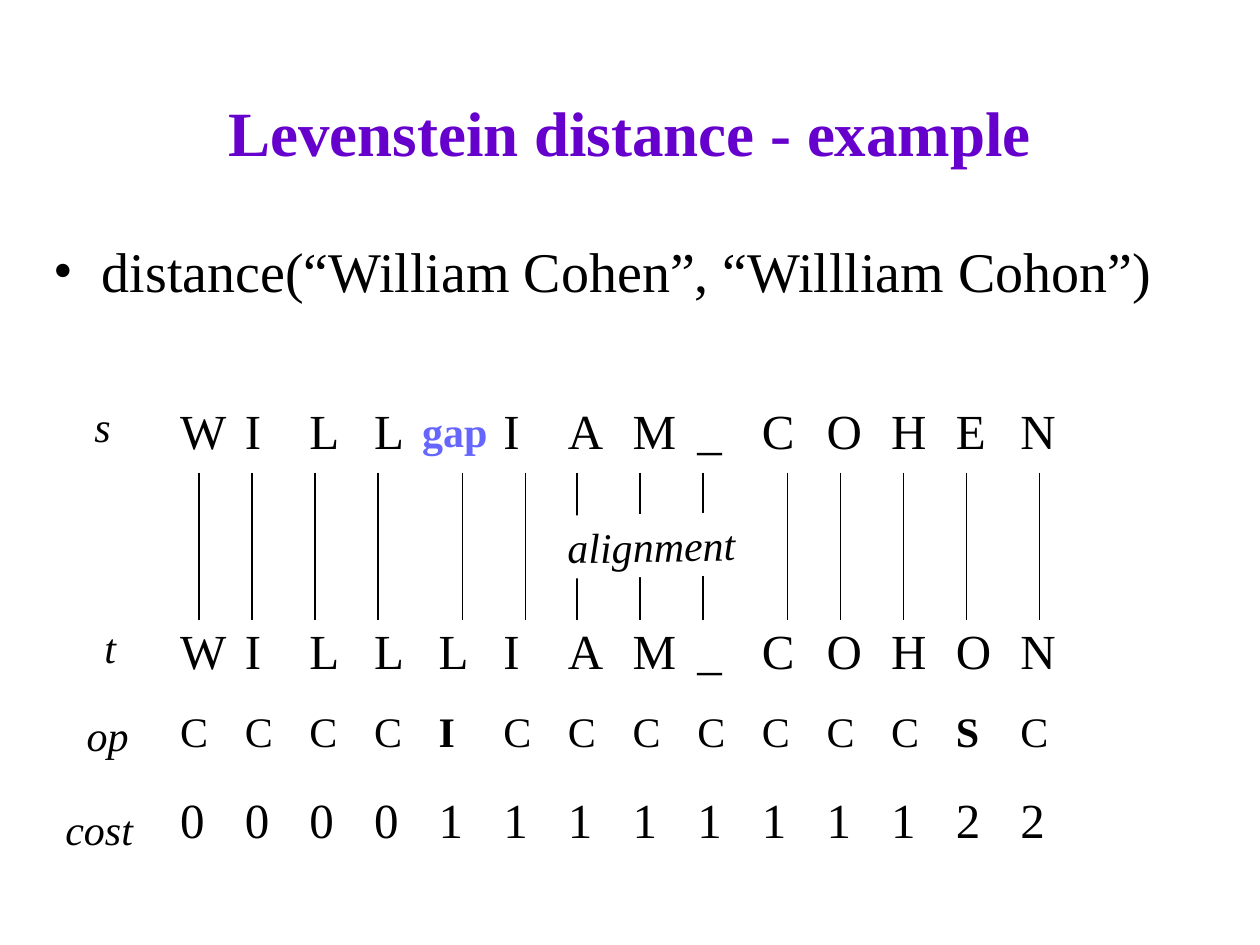
from lxml import etree
from pptx import Presentation
from pptx.dml.color import RGBColor
from pptx.enum.shapes import MSO_CONNECTOR, MSO_SHAPE
from pptx.enum.text import MSO_ANCHOR, MSO_AUTO_SIZE, PP_ALIGN
from pptx.oxml.ns import qn
from pptx.util import Inches, Pt

STRAIGHT = MSO_CONNECTOR.STRAIGHT
RECTANGLE = MSO_SHAPE.RECTANGLE
MIDDLE = MSO_ANCHOR.MIDDLE
GROW = MSO_AUTO_SIZE.SHAPE_TO_FIT_TEXT
LEFT, CENTER, RIGHT = PP_ALIGN.LEFT, PP_ALIGN.CENTER, PP_ALIGN.RIGHT
FONT = "Times New Roman"
COLORS = {"title": "6600CC", "text": "000000", "gap": "6666FF", "paper": "FFFFFF"}

ROWS = [
    ("WILL IAM_COHEN", 28, 0.58),
    (" " * 14, 28, 1.17),
    ("WILLLIAM_COHON", 28, 0.67),
    ("CCCCICCCCCCCSC", 24, 0.67),
    ("00001111111122", 28, 0.75),
]
EDITS = "IS"
LAST_COLUMN = 1.25
MATCH_XS = [1.58, 2, 2.5, 3, 3.67, 4.17, 4.58, 5.08, 5.58, 6.25, 6.67, 7.17, 7.67, 8.25]
ROW_LABELS = [
    ("s", (0.65, 3.13, 0.33, 0.5), LEFT),
    ("t", (0.73, 4.88, 0.29, 0.5), LEFT),
    ("op", (0.59, 5.58, 0.53, 0.5), RIGHT),
    ("cost", (0.42, 6.33, 0.75, 0.5), LEFT),
]


def inches(box):
    return [Inches(length) for length in box]


def write(paragraph, text, size, color="text", bold=False, italic=False, align=LEFT):
    paragraph.alignment = align
    run = paragraph.add_run()
    run.text = text
    run.font.name = FONT
    run.font.size = Pt(size)
    run.font.bold = bold
    run.font.italic = italic
    run.font.color.rgb = RGBColor.from_string(COLORS[color])


def place_title(slide, box):
    title = slide.shapes.title
    title.left, title.top, title.width, title.height = inches(box)
    title.text_frame.vertical_anchor = MIDDLE
    write(title.text_frame.paragraphs[0], "Levenstein distance - example", 36,
          "title", bold=True, align=CENTER)


def place_question(slide, box):
    frame = slide.shapes.add_textbox(*inches(box)).text_frame
    frame.word_wrap = True
    paragraph = frame.paragraphs[0]
    properties = paragraph._p.get_or_add_pPr()
    properties.set("marL", str(Inches(0.38)))
    properties.set("indent", str(-Inches(0.38)))
    etree.SubElement(properties, qn("a:buFont")).set("typeface", FONT)
    etree.SubElement(properties, qn("a:buChar")).set("char", "•")
    write(paragraph, "distance(“William Cohen”, “Willliam Cohon”)", 32)


def place_alignment_table(slide, box):
    count = len(ROWS[0][0])
    table = slide.shapes.add_table(len(ROWS), count, *inches(box)).table
    table.first_row = False
    table.horz_banding = False
    for column in table.columns:
        column.width = Inches((box[2] - LAST_COLUMN) / (count - 1))
    table.columns[count - 1].width = Inches(LAST_COLUMN)
    for row, (letters, size, height) in enumerate(ROWS):
        table.rows[row].height = Inches(height)
        for column, letter in enumerate(letters):
            cell = table.cell(row, column)
            cell.fill.background()
            if letter != " ":
                is_edit = size == 24 and letter in EDITS
                write(cell.text_frame.paragraphs[0], letter, size, bold=is_edit)


def place_match_lines(slide, top, bottom):
    for x in MATCH_XS:
        match = slide.shapes.add_connector(
            STRAIGHT, Inches(x), Inches(top), Inches(x), Inches(bottom))
        match.line.color.rgb = RGBColor.from_string(COLORS["text"])
        match.line.width = Pt(0.75)
        etree.SubElement(match._element.spPr, qn("a:effectLst"))


def place_label(slide, text, box, align, **style):
    frame = slide.shapes.add_textbox(*inches(box)).text_frame
    frame.word_wrap = False
    frame.auto_size = GROW
    write(frame.paragraphs[0], text, 24, align=align, **style)


def place_alignment_caption(slide, box):
    caption = slide.shapes.add_shape(RECTANGLE, *inches(box))
    caption.shadow.inherit = False
    caption.rotation = 358.9
    caption.fill.solid()
    caption.fill.fore_color.rgb = RGBColor.from_string(COLORS["paper"])
    caption.line.fill.background()
    caption.text_frame.word_wrap = True
    write(caption.text_frame.paragraphs[0], "alignment", 24, italic=True, align=CENTER)


def main():
    presentation = Presentation()
    presentation.slide_width = Inches(10)
    presentation.slide_height = Inches(7.5)
    slide = presentation.slides.add_slide(presentation.slide_layouts[5])
    place_title(slide, (0.75, 0.42, 8.5, 1.25))
    place_question(slide, (0.33, 1.83, 9.33, 0.92))
    place_alignment_table(slide, (1.33, 3.17, 7.92, 3.83))
    place_match_lines(slide, 3.75, 4.92)
    for text, box, align in ROW_LABELS:
        place_label(slide, text, box, align, italic=True)
    place_alignment_caption(slide, (4.25, 4.08, 1.84, 0.5))
    place_label(slide, "gap", (3.25, 3.17, 0.72, 0.5), CENTER, color="gap", bold=True)
    presentation.save("out.pptx")


if __name__ == "__main__":
    main()
